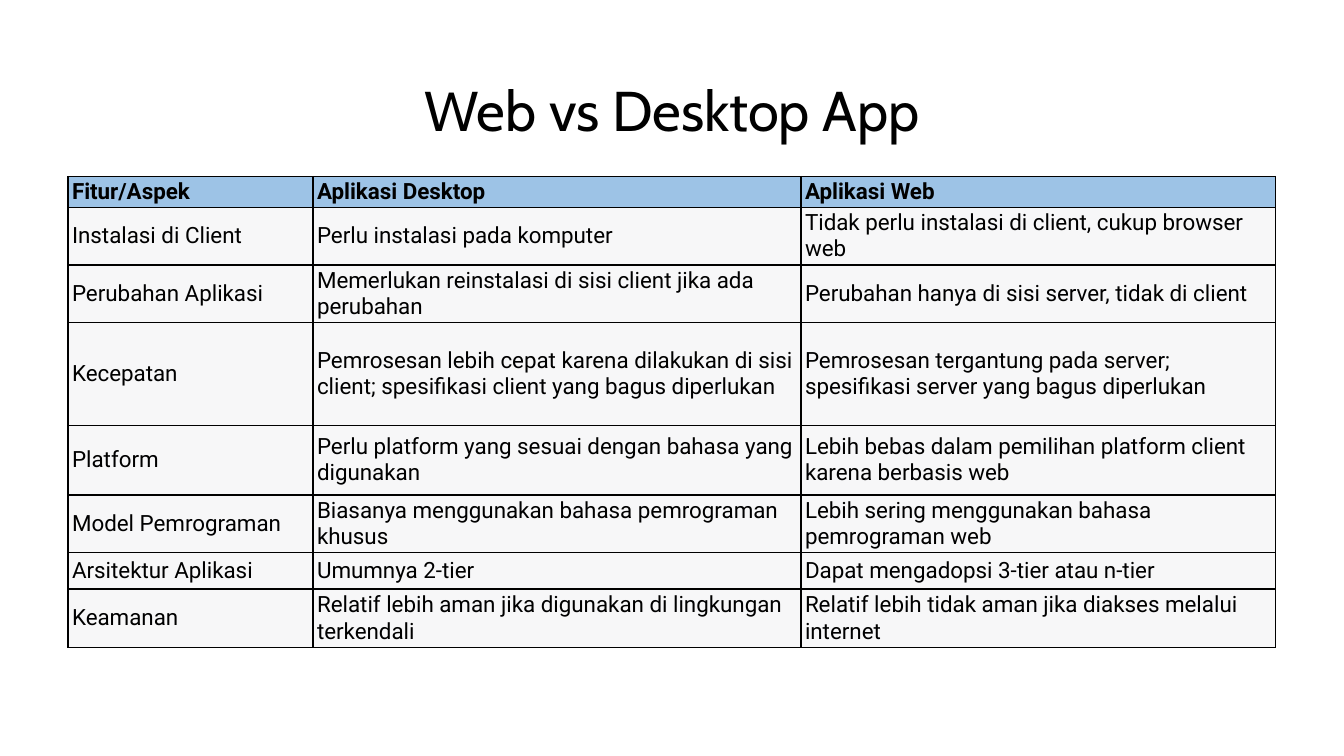
from lxml import etree
from pptx import Presentation
from pptx.dml.color import RGBColor
from pptx.enum.text import MSO_ANCHOR, PP_ALIGN
from pptx.oxml.ns import qn
from pptx.util import Inches, Pt

MIDDLE, BOTTOM = MSO_ANCHOR.MIDDLE, MSO_ANCHOR.BOTTOM
LEFT, CENTER = PP_ALIGN.LEFT, PP_ALIGN.CENTER

WIDE, HIGH = 13.33, 7.5
EDGE = 0.92
BLACK, BLUE, GRAY = "000000", "9DC3E6", "F7F7F8"

COLS = [2.43, 4.84, 4.71]
ROWS = [0.3, 0.55, 0.55, 1.02, 0.69, 0.55, 0.36, 0.58]
CELLS = [
    ("Fitur/Aspek", "Aplikasi Desktop", "Aplikasi Web"),
    ("Instalasi di Client",
     "Perlu instalasi pada komputer",
     "Tidak perlu instalasi di client, cukup browser web"),
    ("Perubahan Aplikasi",
     "Memerlukan reinstalasi di sisi client jika ada perubahan",
     "Perubahan hanya di sisi server, tidak di client"),
    ("Kecepatan",
     "Pemrosesan lebih cepat karena dilakukan di sisi client; "
     "spesifikasi client yang bagus diperlukan",
     "Pemrosesan tergantung pada server; "
     "spesifikasi server yang bagus diperlukan"),
    ("Platform",
     "Perlu platform yang sesuai dengan bahasa yang digunakan",
     "Lebih bebas dalam pemilihan platform client karena berbasis web"),
    ("Model Pemrograman",
     "Biasanya menggunakan bahasa pemrograman khusus",
     "Lebih sering menggunakan bahasa pemrograman web"),
    ("Arsitektur Aplikasi",
     "Umumnya 2-tier",
     "Dapat mengadopsi 3-tier atau n-tier"),
    ("Keamanan",
     "Relatif lebih aman jika digunakan di lingkungan terkendali",
     "Relatif lebih tidak aman jika diakses melalui internet"),
]


def color(code):
    return RGBColor.from_string(code)


def write(frame, text, font="Roboto", size=16, bold=False, align=LEFT,
          space=1.0):
    frame.word_wrap = True
    para = frame.paragraphs[0]
    para.alignment, para.line_spacing = align, space
    run = para.add_run()
    run.text = text
    face = run.font
    face.name, face.size, face.bold = font, Pt(size), bold
    face.color.rgb = color(BLACK)


def add_title(slide, text):
    box = slide.shapes.add_textbox(Inches(EDGE), Inches(0.4),
                                   Inches(WIDE - 2 * EDGE), Inches(1.45))
    box.text_frame.vertical_anchor = MIDDLE
    write(box.text_frame, text, font="Cabin", size=40, align=CENTER, space=0.9)


def add_border(cell, code=BLACK, width=1):
    props = cell._tc.get_or_add_tcPr()
    for side in ("a:lnL", "a:lnR", "a:lnT", "a:lnB"):
        line = etree.SubElement(props, qn(side), w=str(Pt(width)))
        fill = etree.SubElement(line, qn("a:solidFill"))
        etree.SubElement(fill, qn("a:srgbClr"), val=code)


def fill_cell(cell, text, head):
    cell.margin_left = cell.margin_right = Inches(0.04)
    cell.margin_top = cell.margin_bottom = Inches(0.02)
    cell.vertical_anchor = BOTTOM if head else MIDDLE
    add_border(cell)
    cell.fill.solid()
    cell.fill.fore_color.rgb = color(BLUE if head else GRAY)
    write(cell.text_frame, text, bold=head)


def add_grid(slide, left, top):
    table = slide.shapes.add_table(
        len(ROWS), len(COLS), Inches(left), Inches(top),
        Inches(sum(COLS)), Inches(sum(ROWS))).table
    table.horz_banding = False
    for col, width in zip(table.columns, COLS):
        col.width = Inches(width)
    for row, height, texts in zip(table.rows, ROWS, CELLS):
        row.height = Inches(height)
        for cell, text in zip(row.cells, texts):
            fill_cell(cell, text, head=texts is CELLS[0])


def main():
    deck = Presentation()
    deck.slide_width, deck.slide_height = Inches(WIDE), Inches(HIGH)
    slide = deck.slides.add_slide(deck.slide_layouts[6])
    add_title(slide, "Web vs Desktop App")
    add_grid(slide, (WIDE - sum(COLS)) / 2, 1.75)
    deck.save("out.pptx")


if __name__ == "__main__":
    main()
